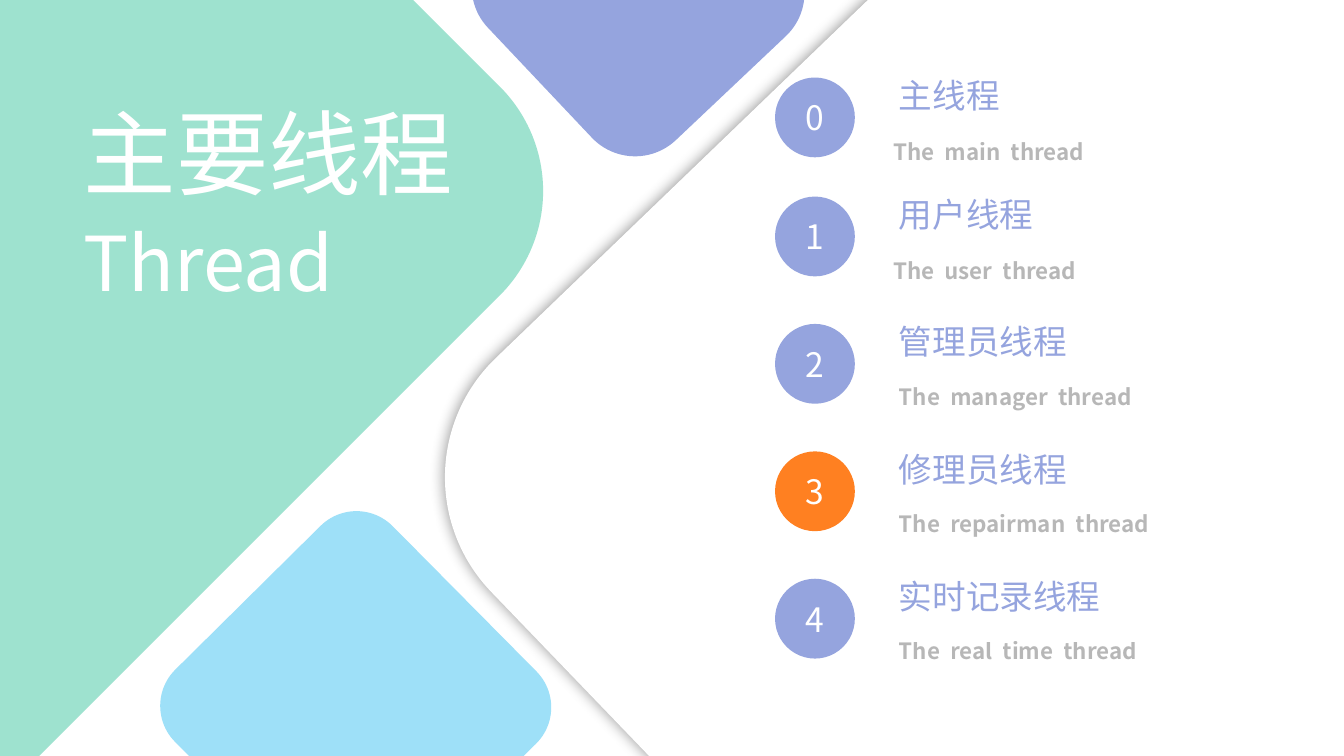
from dataclasses import dataclass
from typing import Any

import lxml.etree
import pptx
import pptx.dml.color
import pptx.enum.shapes
import pptx.enum.text
import pptx.oxml.ns
import pptx.shapes.autoshape
import pptx.shapes.shapetree
import pptx.slide
import pptx.text.text
import pptx.util

Pt = pptx.util.Pt
Kind = pptx.enum.shapes.MSO_SHAPE
Align = pptx.enum.text.PP_ALIGN
Anchor = pptx.enum.text.MSO_ANCHOR
qn = pptx.oxml.ns.qn


@dataclass(frozen=True)
class Theme:
    font: str = "Noto Sans CJK JP"
    white: str = "FFFFFF"
    green: str = "9EE2CF"
    sky: str = "9EE0F8"
    lilac: str = "95A4DE"
    orange: str = "FF8021"
    grey: str = "A6A6A6"
    title: int = 66
    under: int = 54
    head: int = 24
    note: int = 16


THEME = Theme()


@dataclass(frozen=True)
class Box:
    left: float
    top: float
    width: float
    height: float


@dataclass(frozen=True)
class Tile:
    box: Box
    turn: float
    round: float
    fill: str
    shade: bool = False


@dataclass(frozen=True)
class Style:
    size: int
    color: str
    bold: bool = False
    alpha: int = 100
    gap: int = 0  # extra width of each space, in 1/100 pt
    align: Any = Align.LEFT


@dataclass(frozen=True)
class Thread:
    top: float
    name: str
    note: str
    shift: float = 0
    drop: float = 38.5
    fill: str = THEME.lilac


# Text styles
TITLE = Style(THEME.title, THEME.white)
UNDER = Style(THEME.under, THEME.white)
HEAD = Style(THEME.head, THEME.lilac)
NOTE = Style(THEME.note, THEME.grey, bold=True, alpha=80, gap=360)
DIGIT = Style(THEME.head, THEME.white, align=Align.CENTER)

# Tilted squares, from back to front
TILES = [
    Tile(Box(445.7, -75.6, 848.9, 851.8), 316.1, 0.139, THEME.white, True),
    Tile(Box(359.3, -103.7, 193, 193), 46.6, 0.22, THEME.lilac),
    Tile(Box(-346.3, -185.8, 632.2, 673.9), 225, 0.16667, THEME.green),
    Tile(Box(144.7, 395.3, 218.9, 218.9), 315.3, 0.16667, THEME.sky),
]

# Numbered threads: the last four are evenly spaced
FIRST, START, STEP = 55.4, 140.4, 91
THREADS = [
    Thread(FIRST, "主线程", "The main thread", -4, 39.6),
    Thread(START, "用户线程", "The user thread", -4, 39.6),
    Thread(START + STEP, "管理员线程", "The manager thread"),
    Thread(START + 2 * STEP, "修理员线程", "The repairman thread",
           fill=THEME.orange),
    Thread(START + 3 * STEP, "实时记录线程", "The real time thread"),
]
DISC, DISC_LEFT, TEXT_LEFT, TEXT_WIDE = 57, 553.6, 635, 250.6


def paint(shape: pptx.shapes.autoshape.Shape, color: str) -> None:
    """Give a shape a flat fill with no line or shadow."""
    shape.shadow.inherit = False
    shape.fill.solid()
    shape.fill.fore_color.rgb = pptx.dml.color.RGBColor.from_string(color)
    shape.line.fill.background()


def shade(shape: pptx.shapes.autoshape.Shape) -> None:
    """Add a soft, centred shadow."""
    glow = shape.element.spPr.find(qn("a:effectLst"))
    cast = lxml.etree.SubElement(glow, qn("a:outerShdw"), rotWithShape="0",
                                 blurRad=str(Pt(10)), dist="0", dir="0",
                                 algn="ctr")
    black = lxml.etree.SubElement(cast, qn("a:srgbClr"), val="000000")
    lxml.etree.SubElement(black, qn("a:alpha"), val="40000")


def add_run(para: Any, words: str, style: Style) -> None:
    run = para.add_run()
    run.text = words
    form = {"name": THEME.font, "size": Pt(style.size), "bold": style.bold}
    for key, value in form.items():
        setattr(run.font, key, value)
    run.font.color.rgb = pptx.dml.color.RGBColor.from_string(style.color)
    props = run.font.fill._xPr
    east = lxml.etree.Element(qn("a:ea"), typeface=THEME.font)
    props.find(qn("a:latin")).addnext(east)
    if style.alpha < 100:
        tint = props.find(qn("a:solidFill")).find(qn("a:srgbClr"))
        lxml.etree.SubElement(tint, qn("a:alpha"),
                              val=str(style.alpha * 1000))
    if words == " ":
        props.set("spc", str(style.gap))


def write(frame: pptx.text.text.TextFrame, words: str, style: Style,
          wrap: bool = True, anchor: Any = Anchor.TOP) -> None:
    form = {
        "word_wrap": wrap, "vertical_anchor": anchor,
        "auto_size": pptx.enum.text.MSO_AUTO_SIZE.NONE,
        "margin_left": Pt(7.2), "margin_right": Pt(7.2),
        "margin_top": Pt(3.6), "margin_bottom": Pt(3.6),
    }
    for key, value in form.items():
        setattr(frame, key, value)
    para = frame.paragraphs[0]
    para.alignment = style.align
    if not style.gap:
        add_run(para, words, style)
        return
    for index, word in enumerate(words.split(" ")):
        if index:
            add_run(para, " ", style)
        add_run(para, word, style)


def span(box: Box) -> list[int]:
    return [Pt(n) for n in (box.left, box.top, box.width, box.height)]


def add_tile(shapes: pptx.shapes.shapetree.SlideShapes, tile: Tile) -> None:
    shape = shapes.add_shape(Kind.ROUNDED_RECTANGLE, *span(tile.box))
    shape.rotation = tile.turn
    shape.adjustments[0] = tile.round
    paint(shape, tile.fill)
    if tile.shade:
        shade(shape)


def add_text(shapes: pptx.shapes.shapetree.SlideShapes, box: Box,
             words: str, style: Style) -> None:
    write(shapes.add_textbox(*span(box)).text_frame, words, style)


def add_thread(shapes: pptx.shapes.shapetree.SlideShapes, index: int,
               item: Thread) -> None:
    disc = shapes.add_shape(
        Kind.OVAL, *span(Box(DISC_LEFT, item.top, DISC, DISC)))
    paint(disc, item.fill)
    write(disc.text_frame, str(index), DIGIT, False, Anchor.MIDDLE)
    add_text(shapes, Box(TEXT_LEFT, item.top - 5.6, TEXT_WIDE, 36),
             item.name, HEAD)
    add_text(shapes, Box(TEXT_LEFT + item.shift, item.top + item.drop,
                         TEXT_WIDE, 26.6), item.note, NOTE)


def add_title(slide: pptx.slide.Slide, box: Box, words: str) -> None:
    """Fill the title and bring it in front of the tiles."""
    title = slide.shapes.title
    names = ("left", "top", "width", "height")
    for key, value in zip(names, span(box)):
        setattr(title, key, value)
    write(title.text_frame, words, TITLE)
    title.element.getparent().append(title.element)


def main() -> None:
    deck = pptx.Presentation()
    deck.slide_width, deck.slide_height = Pt(960), Pt(540)
    slide = deck.slides.add_slide(deck.slide_layouts[5])
    for tile in TILES:
        add_tile(slide.shapes, tile)
    add_title(slide, Box(52.6, 64.8, 309.6, 87.1), "主要线程")
    add_text(slide.shapes, Box(52.6, 150.5, 295.2, 72.7), "Thread", UNDER)
    for index, item in enumerate(THREADS):
        add_thread(slide.shapes, index, item)
    deck.save("out.pptx")


if __name__ == "__main__":
    main()
